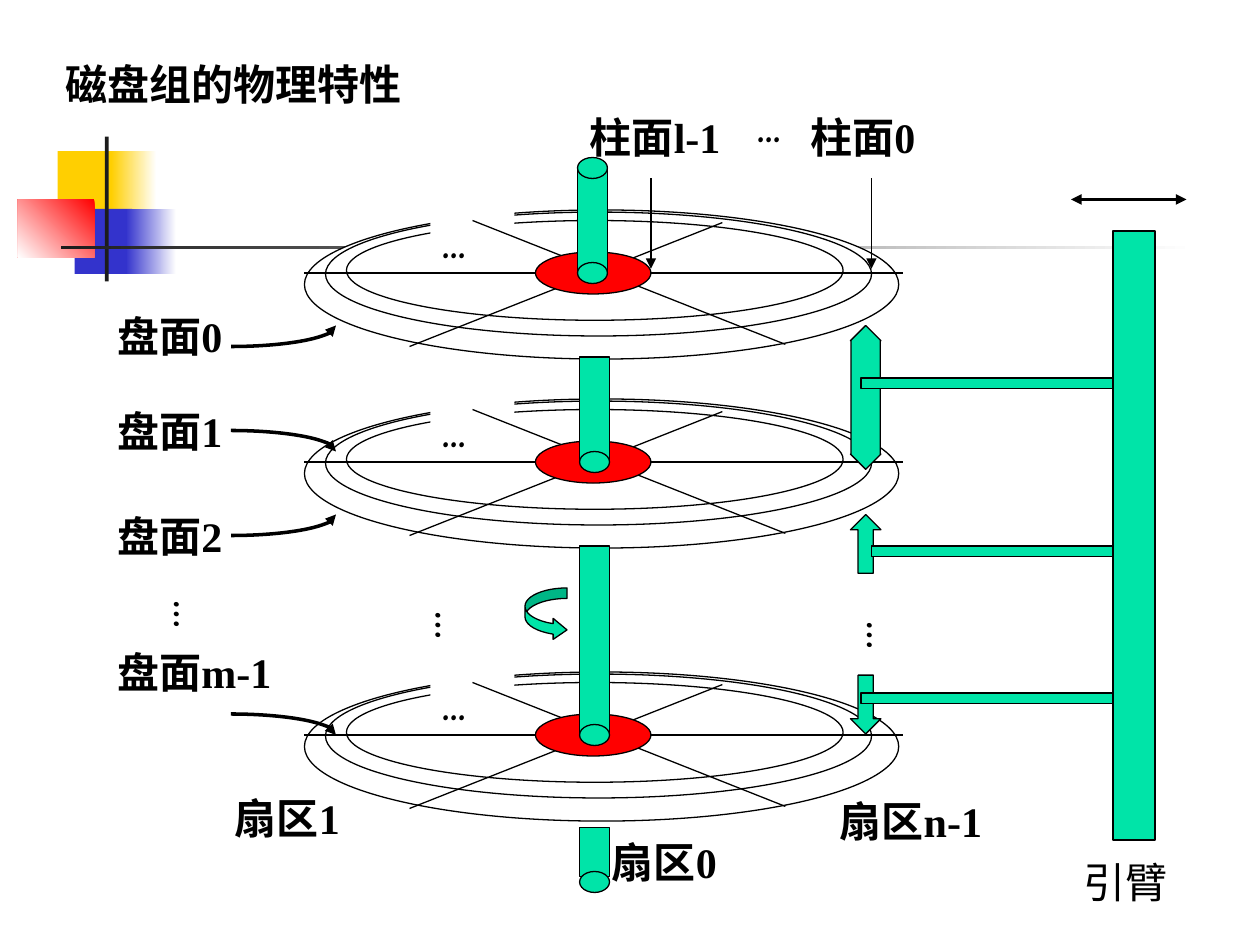
from lxml.etree import SubElement
from pptx import Presentation
from pptx.dml.color import RGBColor
from pptx.enum.shapes import MSO_CONNECTOR, MSO_SHAPE
from pptx.enum.text import MSO_ANCHOR, PP_ALIGN
from pptx.oxml.ns import qn
from pptx.util import Inches, Pt

# The slide is a grid of 120 columns by 90 rows.
CELL = Inches(10) / 120
COLORS = {
    "black": "000000", "white": "FFFFFF", "red": "FF0000", "green": "00E4A8",
    "yellow": "FFCF01", "blue": "3333CC", "dark": "1C1C1C",
}
LATIN, COMIC = "Times New Roman", "Comic Neue"
FRAME_FORMAT = {
    "word_wrap": True, "vertical_anchor": MSO_ANCHOR.TOP,
    "margin_left": Inches(0.1), "margin_right": Inches(0.1),
    "margin_top": Inches(0.05), "margin_bottom": Inches(0.05),
}
VERTICAL_MARGINS = {
    "margin_left": Inches(0.05), "margin_right": Inches(0.05),
    "margin_top": Inches(0.1), "margin_bottom": Inches(0.1),
}
DISK_ROWS = (20, 38, 64)
ROD_WIDTH = 2.85


def color(name):
    return RGBColor.from_string(COLORS[name])


def grid(*cells):
    return [round(cell * CELL) for cell in cells]


def apply_format(target, values):
    for name, value in values.items():
        setattr(target, name, value)


def write_text(shape, text, font=LATIN, bold=True, frame_format=None):
    frame = shape.text_frame
    apply_format(frame, FRAME_FORMAT | (frame_format or {}))
    frame.text = text
    paragraph = frame.paragraphs[0]
    paragraph.alignment = PP_ALIGN.LEFT
    apply_format(paragraph.font, {"name": font, "size": Pt(24), "bold": bold})
    paragraph.font.color.rgb = color("black")


def add_label(slide, box, text, **text_format):
    write_text(slide.shapes.add_textbox(*grid(*box)), text, **text_format)


def add_vertical_dots(slide, column, row):
    textbox = slide.shapes.add_textbox(*grid(column, row, 7.2, 8))
    write_text(textbox, "…", COMIC, frame_format=VERTICAL_MARGINS)
    textbox.text_frame._txBody.bodyPr.set("vert", "eaVert")


def add_part(slide, kind, box, fill=None, line="black", adjustments=()):
    shape = slide.shapes.add_shape(kind, *grid(*box))
    shape.shadow.inherit = False
    if fill:
        shape.fill.solid()
        shape.fill.fore_color.rgb = color(fill)
    else:
        shape.fill.background()
    if line:
        shape.line.color.rgb = color(line)
        shape.line.width = Pt(0.75)
    else:
        shape.line.fill.background()
    for index, value in enumerate(adjustments):
        shape.adjustments[index] = value
    return shape


def add_gradient(slide, box, start, end, angle=180):
    shape = add_part(slide, MSO_SHAPE.RECTANGLE, box, line=None)
    shape.fill.gradient()
    shape.fill.gradient_angle = angle
    for stop, name in zip(shape.fill.gradient_stops, (start, end)):
        stop.color.rgb = color(name)


def add_arrowheads(shape, ends):
    """Put triangles at the given ends, headEnd before tailEnd."""
    for end in ends:
        SubElement(shape.line._get_or_add_ln(), qn(f"a:{end}"), type="triangle")


def add_line(slide, start, end, width=0.75, ends=()):
    connector = slide.shapes.add_connector(
        MSO_CONNECTOR.STRAIGHT, *grid(*start, *end))
    connector.line.color.rgb = color("black")
    connector.line.width = Pt(width)
    add_arrowheads(connector, ends)
    SubElement(connector._element.spPr, qn("a:effectLst"))


def add_curved_pointer(slide, row, rising):
    """Draw a quarter arc from a surface label to the disk edge."""
    angles = (0, 90) if rising else (270, 0)
    shape = add_part(slide, MSO_SHAPE.ARC, (12, row, 20, 4),
                     adjustments=[angle * 0.6 for angle in angles])
    shape.line.width = Pt(2)
    add_arrowheads(shape, ["headEnd" if rising else "tailEnd"])


def add_decoration(slide):
    add_part(slide, MSO_SHAPE.RECTANGLE, (5.5, 14.4, 5.8, 6.2), "yellow", None)
    add_gradient(slide, (10.6, 14.4, 4.3, 6.2), "white", "yellow")
    add_part(slide, MSO_SHAPE.RECTANGLE, (7.1, 19.9, 5.5, 6.2), "blue", None)
    add_gradient(slide, (12, 19.9, 4.8, 6.2), "white", "blue")
    add_gradient(slide, (1.7, 19, 7.3, 5.5), "red", "white", 225)
    add_part(slide, MSO_SHAPE.RECTANGLE, (10, 13, 0.36, 13.8), "dark", None)
    add_gradient(slide, (5.8, 23.4, 108, 0.36), "white", "dark")


def add_disk(slide, row):
    tracks = ((29, 0, 56.6, 14.2), (31, 0.2, 52, 11.8), (33, 1, 47.3, 9.5))
    for left, offset, width, height in tracks:
        add_part(slide, MSO_SHAPE.OVAL, (left, row + offset, width, height), "white")
    gap = add_part(slide, MSO_SHAPE.RECTANGLE, (41, row, 8, 6), "white", None)
    write_text(gap, "...", COMIC)
    add_line(slide, (68.8, row + 1.2), (39, row + 13))
    add_line(slide, (45, row + 1), (74.8, row + 12.8))
    add_line(slide, (29, row + 6), (86, row + 6))
    add_part(slide, MSO_SHAPE.OVAL, (51, row + 4, 11, 4), "red")


def add_spindle(slide):
    rods = ((55, 16, 10), (55.2, 34, 10), (55.2, 52, 17.9), (55.2, 78.8, 4.7))
    for left, top, height in rods:
        add_part(slide, MSO_SHAPE.RECTANGLE, (left, top, ROD_WIDTH, height), "green")
    for left, top in ((55, 15), (55, 25), (55.2, 43), (55.2, 69), (55.2, 83)):
        add_part(slide, MSO_SHAPE.OVAL, (left, top, ROD_WIDTH, 2), "green")
    add_part(slide, MSO_SHAPE.CURVED_RIGHT_ARROW, (50, 56, 4, 5), "green",
             adjustments=(0.25, 0.5, 0.33))


def add_access_arm(slide):
    heads = (
        (MSO_SHAPE.UP_ARROW, 49, 5.6, 0.5),
        (MSO_SHAPE.UP_DOWN_ARROW, 31, 13.7, 0.96),
        (MSO_SHAPE.DOWN_ARROW, 64.3, 5.6, 0.5),
    )
    for kind, top, height, point in heads:
        add_part(slide, kind, (81, top, 2.9, height), "green",
                 adjustments=(0.5, point))
    for left, top in ((82, 36), (83, 52), (82, 66)):
        add_part(slide, MSO_SHAPE.RECTANGLE, (left, top, 24, 1), "green")
    add_part(slide, MSO_SHAPE.RECTANGLE, (106, 22, 4, 58), "green")
    add_line(slide, (102, 19), (113, 19), 2, ("headEnd", "tailEnd"))
    add_label(slide, (102, 81, 12, 6), "引臂", bold=False)


def add_labels(slide):
    labels = (
        ("盘面0", (10, 29, 14, 6)), ("盘面1", (10, 38, 14, 6)),
        ("盘面2", (10, 48, 14, 6)), ("盘面m-1", (10, 61, 18, 6)),
        ("扇区1", (21.2, 74.9, 13.2, 10.8)), ("扇区0", (57.1, 79.1, 14, 6)),
        ("扇区n-1", (78.8, 75.2, 16.1, 10.8)),
        ("柱面l-1", (55, 10, 17, 6)), ("柱面0", (76, 10, 14, 6)),
    )
    for text, box in labels:
        add_label(slide, box, text)
    add_label(slide, (71, 9, 7, 6), "...", font=COMIC)
    for column, row in ((38.9, 57), (80, 58), (14, 56)):
        add_vertical_dots(slide, column, row)
    for row, rising in ((29, True), (41, False), (47, True), (68, False)):
        add_curved_pointer(slide, row, rising)
    for column in (62, 83):
        add_line(slide, (column, 17), (column, 25.6), ends=["tailEnd"])


def main():
    presentation = Presentation()
    presentation.slide_width, presentation.slide_height = grid(120, 90)
    slide = presentation.slides.add_slide(presentation.slide_layouts[5])
    title = slide.shapes.title
    title.left, title.top, title.width, title.height = grid(5, 5, 105, 10)
    write_text(title, "磁盘组的物理特性")
    add_decoration(slide)
    for row in DISK_ROWS:
        add_disk(slide, row)
    add_spindle(slide)
    add_access_arm(slide)
    add_labels(slide)
    presentation.save("out.pptx")


if __name__ == "__main__":
    main()
